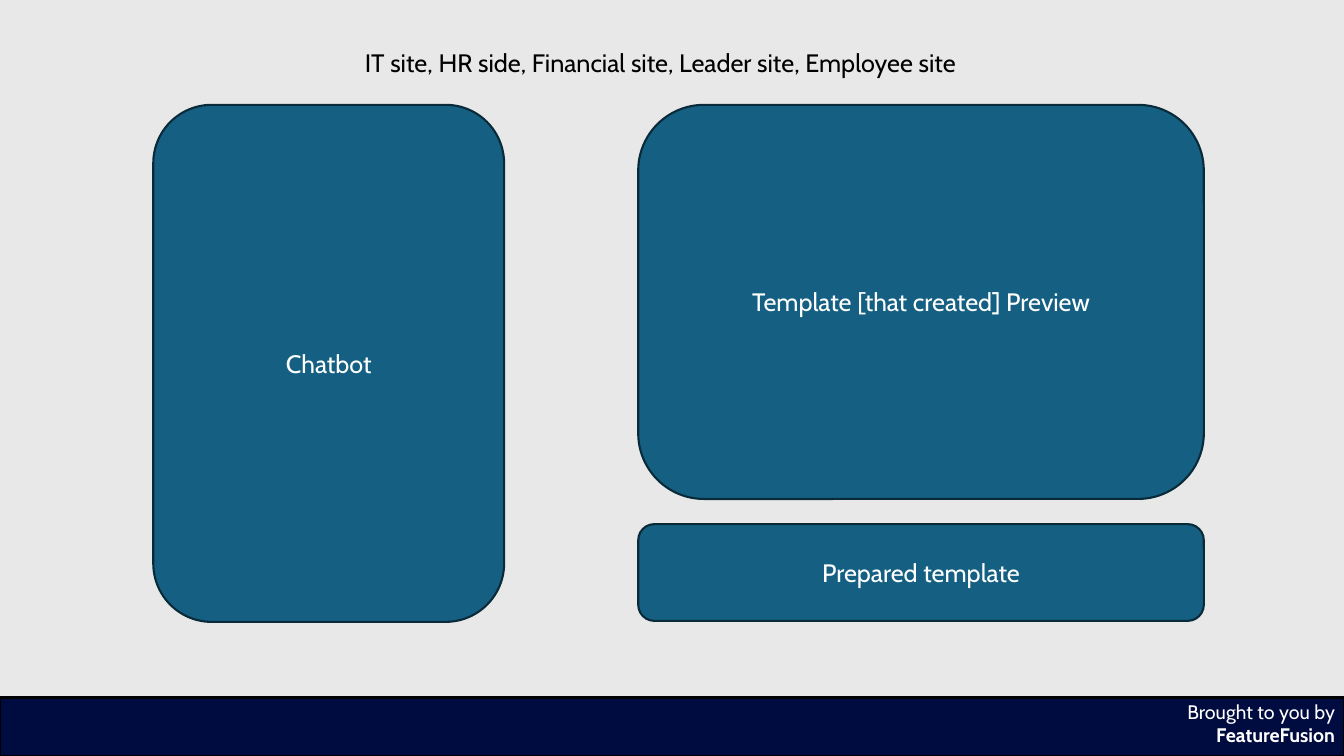
from pptx import Presentation
from pptx.dml.color import RGBColor
from pptx.enum import shapes, text
from pptx.util import Inches, Pt

FONT = "Cabin"
WHITE, BLACK = "FFFFFF", "000000"
BACKGROUND, NAVY = "E8E8E8", "000B3F"
PANEL_FILL, PANEL_LINE = "156082", "092A39"

SITES = "IT site, HR side, Financial site, Leader site, Employee site"
CREDIT = ["Brought to you by", "FeatureFusion"]
PANELS = [  # label, (left, top, width, height)
    ("Chatbot", (1.52, 1.04, 3.48, 5.13)),
    ("Template [that created] Preview", (6.33, 1.04, 5.61, 3.91)),
    ("Prepared template", (6.33, 5.2, 5.61, 0.96)),
]


def rgb(value):
    return RGBColor.from_string(value)


def write(shape, lines, size, color, align):
    frame = shape.text_frame
    frame.word_wrap = True
    frame.text = "\n".join(lines)
    for para in frame.paragraphs:
        para.alignment = align
        para.font.name = FONT
        para.font.size = Pt(size)
        para.font.color.rgb = rgb(color)
    return frame


def add_box(slide, kind, place, fill, line):
    box = slide.shapes.add_shape(kind, *map(Inches, place))
    box.shadow.inherit = False
    box.fill.solid()
    box.fill.fore_color.rgb = rgb(fill)
    box.line.color.rgb = rgb(line)
    box.line.width = Pt(1.5)
    return box


def add_text(slide, place, lines, size, color, align):
    box = slide.shapes.add_textbox(*map(Inches, place))
    return write(box, lines, size, color, align)


def main():
    deck = Presentation()
    deck.slide_width, deck.slide_height = Inches(13.33), Inches(7.5)
    slide = deck.slides.add_slide(deck.slide_layouts.get_by_name("Blank"))
    slide.background.fill.solid()
    slide.background.fill.fore_color.rgb = rgb(BACKGROUND)

    kinds, align = shapes.MSO_SHAPE, text.PP_ALIGN
    add_box(slide, kinds.RECTANGLE, (0, 6.92, 13.33, 0.58), NAVY, BLACK)
    credit = add_text(slide, (11.67, 6.89, 1.67, 0.57), CREDIT, 14, WHITE, align.RIGHT)
    credit.paragraphs[-1].font.bold = True

    for label, place in PANELS:
        panel = add_box(slide, kinds.ROUNDED_RECTANGLE, place, PANEL_FILL, PANEL_LINE)
        frame = write(panel, [label], 18, WHITE, align.CENTER)
        frame.vertical_anchor = text.MSO_ANCHOR.MIDDLE

    add_text(slide, (3.52, 0.42, 6.3, 0.4), [SITES], 18, BLACK, align.LEFT)
    deck.save("out.pptx")


if __name__ == "__main__":
    main()
